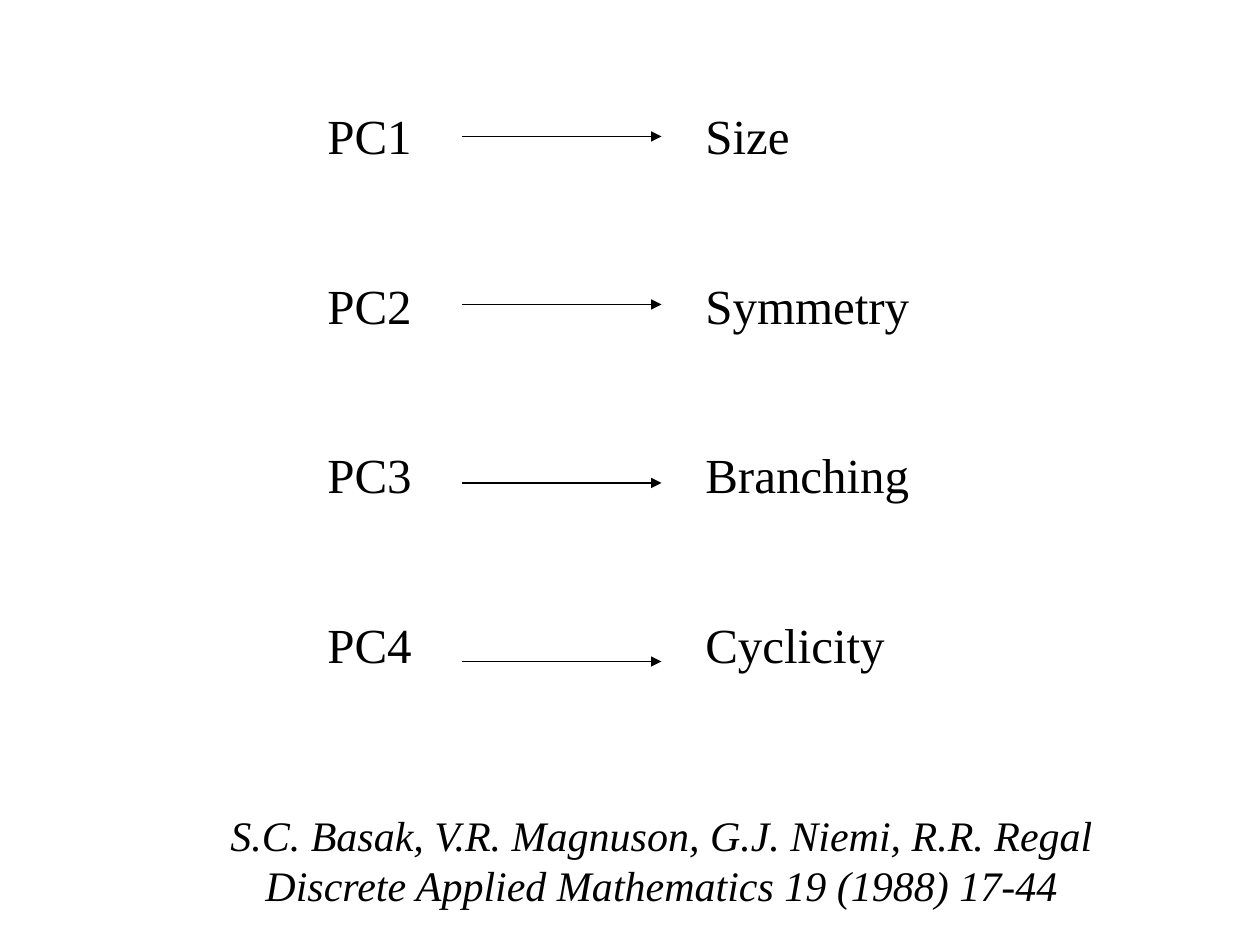
from dataclasses import dataclass

from lxml import etree
from pptx import Presentation
from pptx import util as u
from pptx.dml.color import RGBColor
from pptx.enum import shapes, text
from pptx.oxml.ns import qn

CELL = u.Inches(1) // 12


@dataclass(frozen=True)
class Theme:
    font: str = "Times New Roman"
    ink: RGBColor = RGBColor(0, 0, 0)
    label_size: int = 28
    citation_size: int = 24
    row_gap: float = 63.2
    arrow_width: float = 0.75


@dataclass(frozen=True)
class Area:
    column: float
    row: float
    columns: float
    rows: float


@dataclass(frozen=True)
class Component:
    label: str
    meaning: str
    arrow_row: int


THEME = Theme()
COMPONENTS = (
    Component("PC1", "Size", 13),
    Component("PC2", "Symmetry", 29),
    Component("PC3", "Branching", 46),
    Component("PC4", "Cyclicity", 63),
)
COMPONENT_AREA = Area(30, 9, 62, 57.4)
CITATION_AREA = Area(14, 76, 98, 10.9)
ARROW_START, ARROW_END = 44, 63
MEANING_TAB = 36
CITATION = (
    "S.C. Basak, V.R. Magnuson, G.J. Niemi, R.R. Regal "
    "Discrete Applied Mathematics 19 (1988) 17-44"
)


def grid(cells: float) -> int:
    return round(cells * CELL)


def apply_format(target, values: dict) -> None:
    for name, value in values.items():
        setattr(target, name, value)


def add_text(page, area: Area, lines: list[str], size: int,
             para_format: dict, italic: bool = False):
    box = page.shapes.add_textbox(
        grid(area.column), grid(area.row), grid(area.columns), grid(area.rows)
    )
    frame = box.text_frame
    apply_format(frame, {
        "word_wrap": True,
        "auto_size": text.MSO_AUTO_SIZE.NONE,
        "vertical_anchor": text.MSO_ANCHOR.TOP,
        "margin_top": u.Inches(0.09),
    })
    for index, line in enumerate(lines):
        para = frame.add_paragraph() if index else frame.paragraphs[0]
        apply_format(para, para_format)
        if index == 0:
            para.space_before = u.Pt(0)
        span = para.add_run()
        span.text = line
        apply_format(span.font, {
            "name": THEME.font, "size": u.Pt(size), "italic": italic,
        })
        span.font.color.rgb = THEME.ink
    return box


def set_tab(box, cells: float) -> None:
    for para in box.text_frame.paragraphs:
        stops = etree.SubElement(para._p.get_or_add_pPr(), qn("a:tabLst"))
        etree.SubElement(stops, qn("a:tab"), pos=str(grid(cells)), algn="l")


def add_arrow(page, row: float) -> None:
    arrow = page.shapes.add_connector(
        shapes.MSO_CONNECTOR.STRAIGHT,
        grid(ARROW_START), grid(row), grid(ARROW_END), grid(row),
    )
    arrow.line.color.rgb = THEME.ink
    arrow.line.width = u.Pt(THEME.arrow_width)
    etree.SubElement(arrow.line._get_or_add_ln(), qn("a:tailEnd"), type="triangle")
    etree.SubElement(arrow._element.spPr, qn("a:effectLst"))


def main() -> None:
    deck = Presentation()
    deck.slide_width, deck.slide_height = u.Inches(10), u.Inches(7.5)
    page = deck.slides.add_slide(deck.slide_layouts.get_by_name("Blank"))

    lines = [f"{item.label}\t{item.meaning}" for item in COMPONENTS]
    box = add_text(page, COMPONENT_AREA, lines, THEME.label_size,
                   {"space_before": u.Pt(THEME.row_gap)})
    set_tab(box, MEANING_TAB)
    for item in COMPONENTS:
        add_arrow(page, item.arrow_row)
    add_text(page, CITATION_AREA, [CITATION], THEME.citation_size,
             {"alignment": text.PP_ALIGN.CENTER}, italic=True)

    deck.save("out.pptx")


if __name__ == "__main__":
    main()
